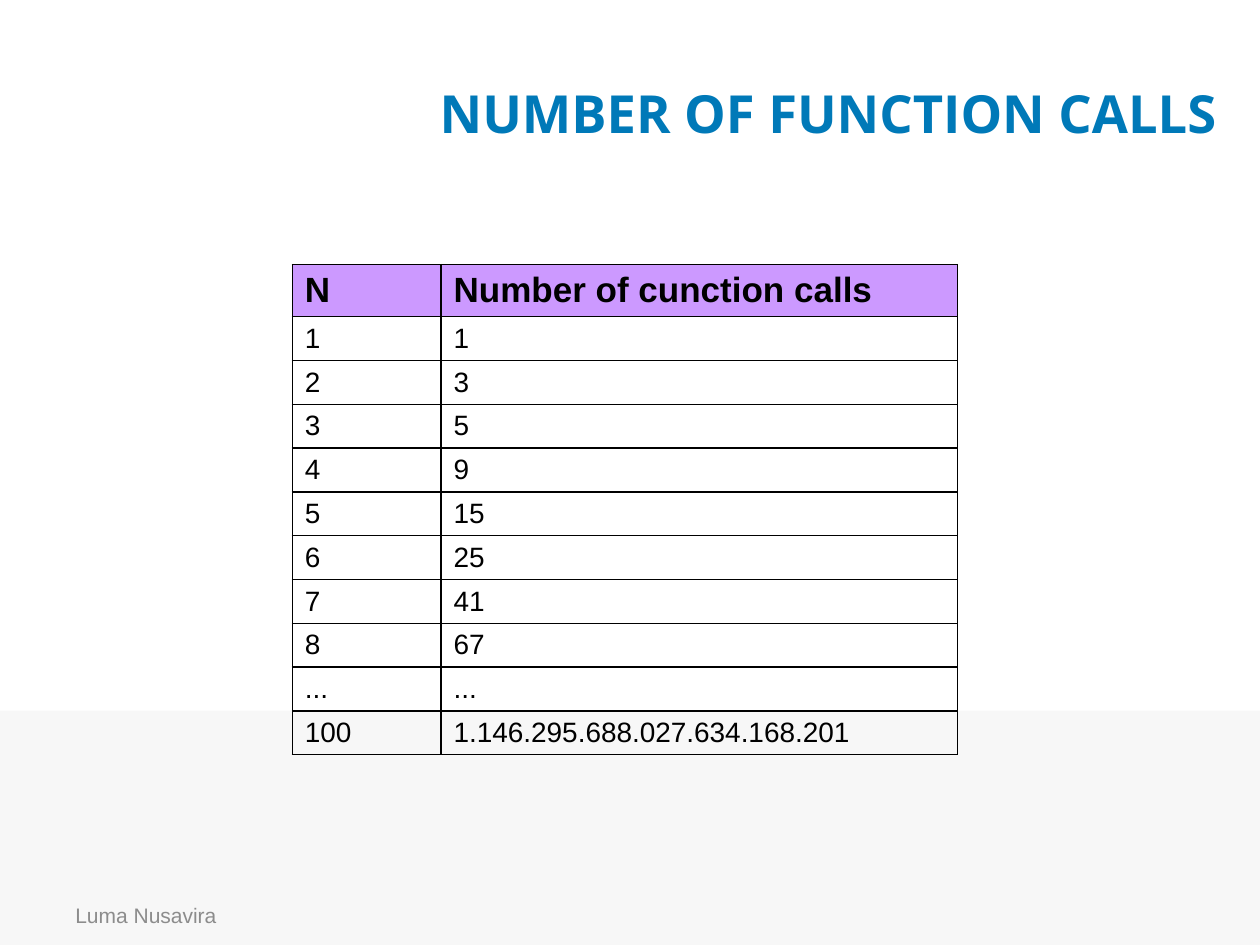
from lxml import etree
from pptx import Presentation
from pptx import util as u
from pptx.dml.color import RGBColor
from pptx.enum import shapes, text
from pptx.oxml.ns import qn

BLACK = RGBColor(0x00, 0x00, 0x00)
BLUE = RGBColor(0x00, 0x79, 0xB8)
GREY = RGBColor(0x8C, 0x8C, 0x8C)
PALE = RGBColor(0xF7, 0xF7, 0xF7)
VIOLET = RGBColor(0xCC, 0x99, 0xFF)

HEADINGS = ("N", "Number of cunction calls")
CALLS = [
    ("1", "1"), ("2", "3"), ("3", "5"), ("4", "9"), ("5", "15"),
    ("6", "25"), ("7", "41"), ("8", "67"), ("...", "..."),
    ("100", "1.146.295.688.027.634.168.201"),
]


class SlideBuilder:
    """Holds the style and the current slide."""

    body_font = "Arial"
    title_font = "Open Sans"
    border_width = u.Pt(1)

    def __init__(self, slide):
        self.slide = slide

    def style(self, paragraph, size, color, bold=False, font=None):
        for run in paragraph.runs:
            run.font.name = font or self.body_font
            run.font.size = u.Pt(size)
            run.font.bold = bold
            run.font.color.rgb = color

    def band(self, left, top, width, height, color):
        band = self.slide.shapes.add_shape(
            shapes.MSO_SHAPE.RECTANGLE, *map(u.Inches, (left, top, width, height)))
        band.shadow.inherit = False
        band.fill.solid()
        band.fill.fore_color.rgb = color
        band.line.fill.background()

    def label(self, words, left, top, width, height, align, **style):
        box = self.slide.shapes.add_textbox(
            *map(u.Inches, (left, top, width, height)))
        frame = box.text_frame
        frame.word_wrap = True
        frame.vertical_anchor = text.MSO_ANCHOR.MIDDLE
        frame.text = words
        frame.paragraphs[0].alignment = align
        self.style(frame.paragraphs[0], **style)

    def border(self, cell):
        properties = cell._tc.get_or_add_tcPr()
        for position, side in enumerate(("a:lnL", "a:lnR", "a:lnT", "a:lnB")):
            line = etree.Element(qn(side), w=str(self.border_width))
            fill = etree.SubElement(line, qn("a:solidFill"))
            etree.SubElement(fill, qn("a:srgbClr"), val=str(BLACK))
            properties.insert(position, line)

    def cell(self, cell, words, size, bold=False, fill=None):
        cell.margin_top = cell.margin_bottom = u.Inches(0.04)
        cell.vertical_anchor = text.MSO_ANCHOR.MIDDLE
        cell.text_frame.text = words
        self.style(cell.text_frame.paragraphs[0], size, BLACK, bold)
        if fill is None:
            cell.fill.background()
        else:
            cell.fill.solid()
            cell.fill.fore_color.rgb = fill
        self.border(cell)

    def table(self, headings, rows, left, top, widths, height, heading_height):
        frame = self.slide.shapes.add_table(
            len(rows) + 1, len(headings),
            *map(u.Inches, (left, top, sum(widths), height)))
        table = frame.table
        table.first_row = table.horz_banding = False
        for column, width in zip(table.columns, widths):
            column.width = u.Inches(width)
        row_height = (height - heading_height) / len(rows)
        for number, values in enumerate([headings, *rows]):
            heading = number == 0
            table.rows[number].height = u.Inches(
                heading_height if heading else row_height)
            for column, words in enumerate(values):
                self.cell(table.cell(number, column), words,
                          size=20 if heading else 16, bold=heading,
                          fill=VIOLET if heading else None)


def main():
    deck = Presentation()
    deck.slide_width, deck.slide_height = u.Inches(10), u.Inches(7.5)
    builder = SlideBuilder(deck.slides.add_slide(deck.slide_layouts[6]))

    # Background band and footer
    builder.band(0, 5.64, 10, 1.86, PALE)
    builder.label("Luma Nusavira", 0.5, 7.06, 2.33, 0.4,
                  text.PP_ALIGN.LEFT, size=12, color=GREY)

    # Title
    builder.label("NUMBER OF FUNCTION CALLS", 1.85, 0.58, 9.45, 0.63,
                  text.PP_ALIGN.CENTER, size=30, color=BLUE, bold=True,
                  font=builder.title_font)

    # Calls for each N
    builder.table(HEADINGS, CALLS, 2.32, 2.1, (1.18, 4.1),
                  height=3.89, heading_height=0.41)

    deck.save("out.pptx")


if __name__ == "__main__":
    main()
